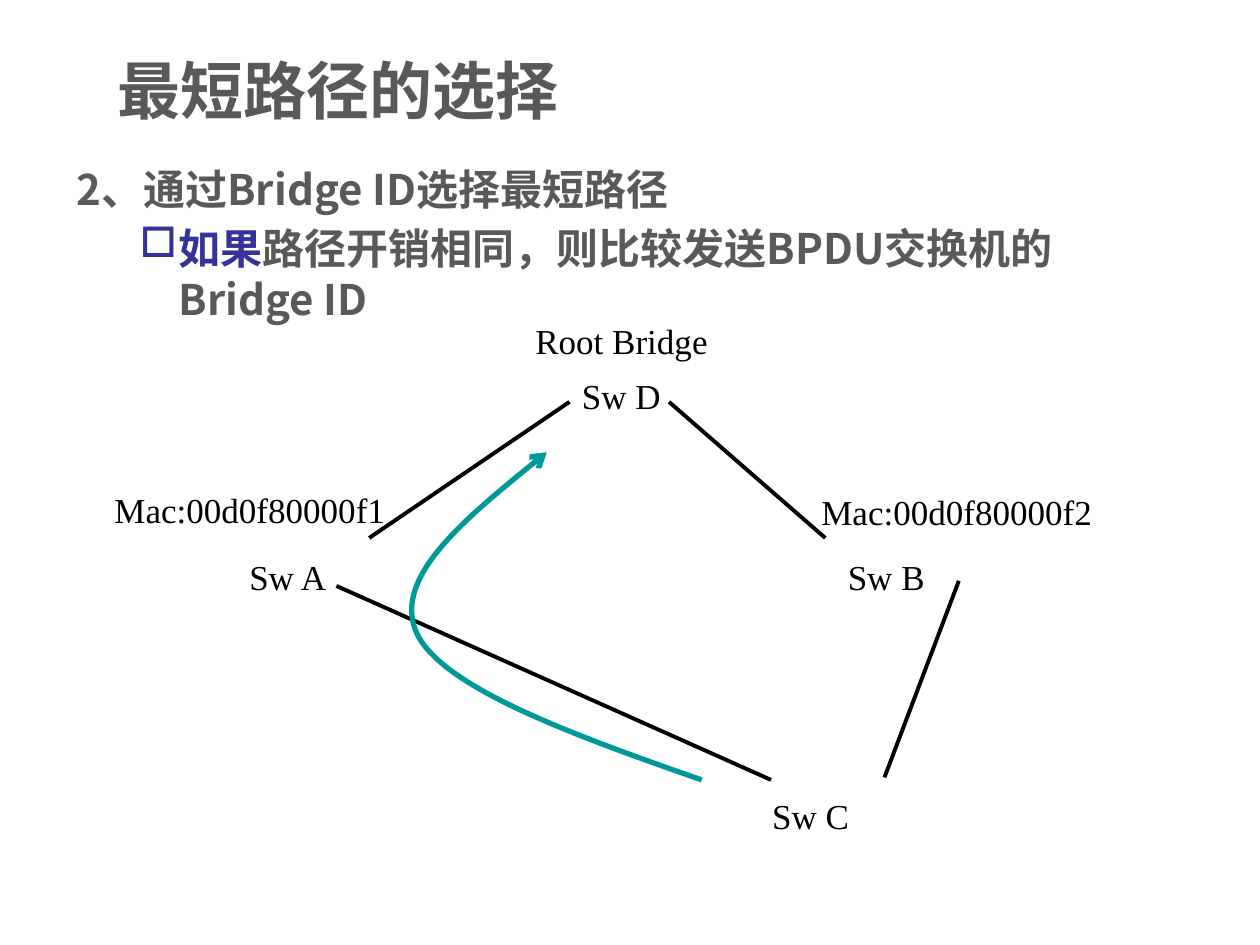
from lxml import etree
from pptx import Presentation
from pptx import util as u
from pptx.dml.color import RGBColor
from pptx.enum import shapes, text
from pptx.oxml.ns import qn

SCALE = 9144
COLORS = {"gray": "595959", "blue": "333399", "black": "000000", "teal": "009999"}
SANS = "Noto Sans CJK SC"
SERIF = "Times New Roman"


def px(n):
    return u.Emu(n * SCALE)


class Deck:
    def __init__(self, wide, high):
        self.prs = Presentation()
        self.prs.slide_width, self.prs.slide_height = px(wide), px(high)
        self.slide = self.prs.slides.add_slide(self.prs.slide_layouts[5])

    def color(self, name):
        return RGBColor.from_string(COLORS[name])

    def run(self, para, words, size, face, color, bold=False):
        run = para.add_run()
        run.text = words
        font = run.font
        font.size, font.name, font.bold = u.Pt(size), face, bold
        font.color.rgb = self.color(color)
        etree.SubElement(run._r.get_or_add_rPr(), qn("a:ea")).set("typeface", face)

    def title(self, box, words):
        shape = self.slide.shapes.title
        shape.left, shape.top, shape.width, shape.height = map(px, box)
        frame = shape.text_frame
        frame.auto_size = text.MSO_AUTO_SIZE.NONE
        frame.vertical_anchor = text.MSO_ANCHOR.MIDDLE
        para = frame.paragraphs[0]
        para.alignment = text.PP_ALIGN.LEFT
        self.run(para, words, 36, SANS, "gray", True)

    def frame(self, box):
        frame = self.slide.shapes.add_textbox(*map(px, box)).text_frame
        frame.word_wrap = True
        return frame

    def label(self, box, words):
        para = self.frame(box).paragraphs[0]
        para.alignment = text.PP_ALIGN.JUSTIFY
        self.run(para, words, 20, SERIF, "black")

    def indent(self, para, left, hang):
        props = para._p.get_or_add_pPr()
        props.set("marL", str(px(left)))
        props.set("indent", str(px(-hang)))
        return props

    def body(self, box, head, parts):
        frame = self.frame(box)
        para = frame.paragraphs[0]
        para.line_spacing = 1.25
        self.indent(para, 38, 38)
        self.run(para, head, 24, SANS, "gray", True)
        para = frame.add_paragraph()
        para.level = 1
        para.line_spacing = 1.0
        para.space_before = u.Pt(5)
        props = self.indent(para, 81, 31)
        etree.SubElement(props, qn("a:buChar")).set("char", "□")
        for words, color in parts:
            self.run(para, words, 24, SANS, color, True)

    def link(self, start, end):
        line = self.slide.shapes.add_connector(
            shapes.MSO_CONNECTOR.STRAIGHT, *map(px, start + end))
        line.line.color.rgb = self.color("black")
        line.line.width = u.Pt(2.25)
        etree.SubElement(line._element.spPr, qn("a:effectLst"))

    def curve(self, start, points):
        pen = self.slide.shapes.build_freeform(*start, scale=SCALE)
        pen.add_line_segments(points, close=False)
        shape = pen.convert_to_shape()
        shape.shadow.inherit = False
        shape.fill.background()
        shape.line.color.rgb = self.color("teal")
        shape.line.width = u.Pt(3)
        track = shape._element.find(".//" + qn("a:path"))
        steps = track.findall(qn("a:lnTo"))
        for i in range(0, len(steps), 3):
            bend = etree.SubElement(track, qn("a:cubicBezTo"))
            for step in steps[i:i + 3]:
                bend.append(step[0])
                track.remove(step)
        tip = etree.SubElement(shape.line._get_or_add_ln(), qn("a:tailEnd"))
        tip.set("type", "arrow")


def main():
    deck = Deck(1000, 750)
    deck.title((83, 42, 842, 58), "最短路径的选择")
    deck.body((51, 115, 900, 134), "2、通过Bridge ID选择最短路径", [
        ("如果", "blue"),
        ("路径开销相同，则比较发送BPDU交换机的Bridge ID", "gray"),
    ])
    for start, end in [
        ((293, 427), (452, 319)),
        ((531, 319), (655, 427)),
        ((267, 465), (612, 619)),
        ((761, 461), (702, 617)),
    ]:
        deck.link(start, end)
    for box, words in [
        ((81, 383, 303, 39), "Mac:00d0f80000f1"),
        ((603, 626, 138, 48), "Sw C"),
        ((663, 436, 138, 49), "Sw B"),
        ((452, 292, 138, 51), "Sw D"),
        ((188, 436, 138, 49), "Sw A"),
        ((415, 249, 205, 40), "Root Bridge"),
        ((642, 384, 291, 47), "Mac:00d0f80000f2"),
    ]:
        deck.label(box, words)
    deck.curve((557, 619), [
        (454, 583), (352, 546), (331, 503),
        (311, 460), (372, 409), (434, 359),
    ])
    deck.prs.save("out.pptx")


if __name__ == "__main__":
    main()
